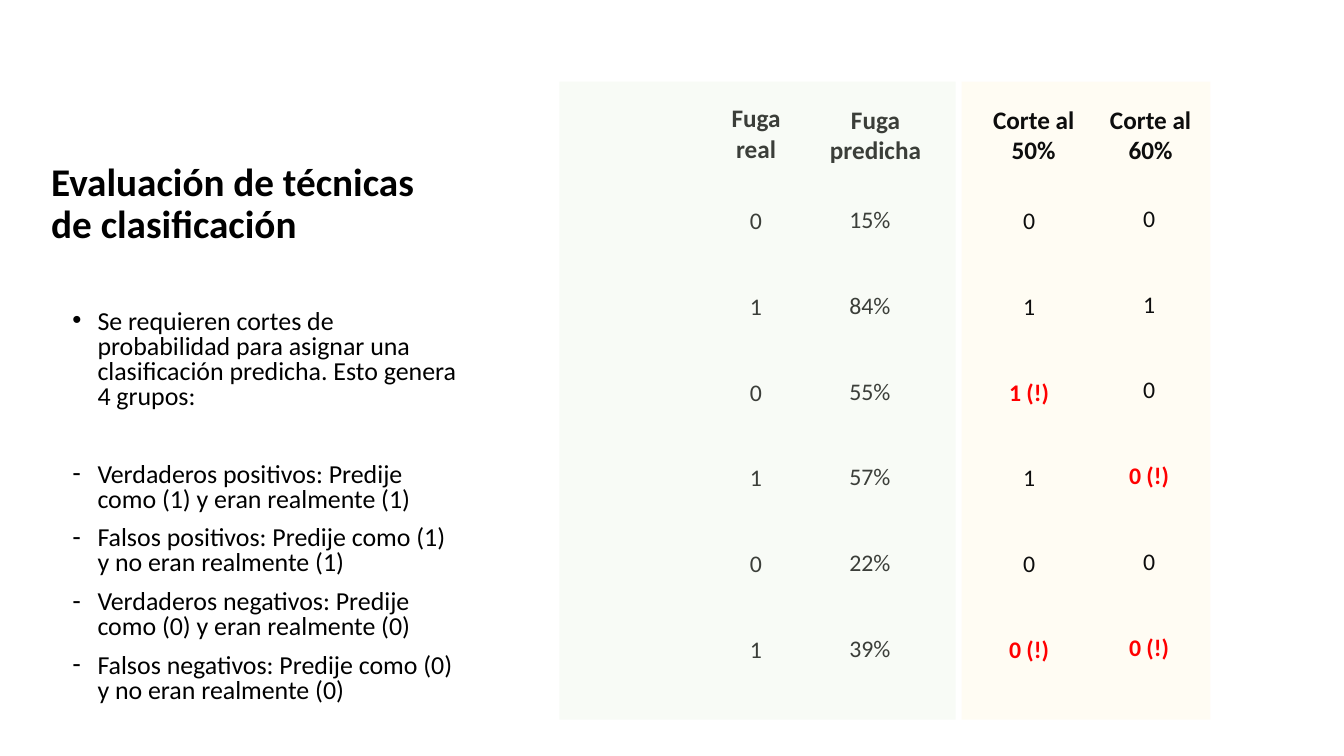
from lxml.etree import SubElement
from pptx import Presentation
from pptx.dml.color import RGBColor
from pptx.enum.shapes import MSO_SHAPE as Shape
from pptx.enum.text import MSO_ANCHOR as Anchor, PP_ALIGN as Align
from pptx.oxml.ns import qn
from pptx.util import Pt

BLACK = RGBColor(0x00, 0x00, 0x00)
INK = RGBColor(0x0D, 0x0D, 0x0D)
RED = RGBColor(0xFF, 0x00, 0x00)
GREEN = RGBColor(0xE2, 0xF0, 0xD9)
CREAM = RGBColor(0xFF, 0xF2, 0xCC)

# Header, header left, top and width, values left and top, values
DATA_COLUMNS = [
    ("Fuga real", 504.7, 69.8, 70.6, 504.7, 143.3, ["0", "1", "0", "1", "0", "1"]),
    ("Fuga predicha", 581.8, 70.6, 87.1, 586.1, 142.6,
     ["15%", "84%", "55%", "57%", "22%", "39%"]),
]
CUT_COLUMNS = [
    ("Corte al 50%", 694.8, 70.6, 87.1, 699.8, 143.3,
     ["0", "1", "1 (!)", "1", "0", "0 (!)"]),
    ("Corte al 60%", 778.3, 70.6, 87.1, 785.5, 141.8,
     ["0", "1", "0", "0 (!)", "0", "0 (!)"]),
]
# Bullet, space before, text
POINTS = [
    ("•", 0, "Se requieren cortes de probabilidad para asignar una "
             "clasificación predicha. Esto genera 4 grupos:"),
    ("-", 38, "Verdaderos positivos: Predije como (1) y eran realmente (1)"),
    ("-", 10, "Falsos positivos: Predije como (1) y no eran realmente (1)"),
    ("-", 10, "Verdaderos negativos: Predije como (0) y eran realmente (0)"),
    ("-", 10, "Falsos negativos: Predije como (0) y no eran realmente (0)"),
]


class SlideBuilder:
    """Holds the text style and the current page."""

    font_name = "Calibri"
    row_gap = 40.9

    def __init__(self, page):
        self.page = page

    def box(self, left, top, width, height, anchor=Anchor.TOP):
        box = self.page.shapes.add_textbox(Pt(left), Pt(top), Pt(width), Pt(height))
        frame = box.text_frame
        frame.word_wrap = True
        frame.vertical_anchor = anchor
        return frame

    def para(self, frame, index, text, size, color=INK, bold=False, bullet=None, **layout):
        para = frame.add_paragraph() if index else frame.paragraphs[0]
        for name, value in layout.items():
            setattr(para, name, value)
        if bullet:
            properties = para._p.get_or_add_pPr()
            properties.set("marL", str(Pt(18)))
            properties.set("indent", str(Pt(-18)))
            SubElement(properties, qn("a:buFont"), typeface="Arial")
            SubElement(properties, qn("a:buChar"), char=bullet)
        span = para.add_run()
        span.text = text
        style = {"name": self.font_name, "size": Pt(size), "bold": bold}
        for name, value in style.items():
            setattr(span.font, name, value)
        span.font.color.rgb = color

    def column(self, header, left, top, width, values_left, values_top, values):
        self.para(self.box(left, top, width, 51.1), 0, header, 18, bold=True,
                  alignment=Align.CENTER)
        frame = self.box(values_left, values_top, 70.6, 357.1)
        for row, value in enumerate(values):
            wrong = "!" in value
            self.para(frame, row, value, 17, RED if wrong else INK, wrong,
                      alignment=Align.CENTER,
                      space_before=Pt(self.row_gap if row else 0))

    def panel(self, left, width, color):
        panel = self.page.shapes.add_shape(
            Shape.RECTANGLE, Pt(left), Pt(58.3), Pt(width), Pt(455.8))
        panel.shadow.inherit = False
        panel.line.fill.background()
        panel.fill.solid()
        panel.fill.fore_color.rgb = color
        tint = panel._element.spPr.find(qn("a:solidFill"))[0]
        SubElement(tint, qn("a:alpha"), val="22000")


def main():
    deck = Presentation()
    deck.slide_width, deck.slide_height = Pt(960), Pt(540)
    builder = SlideBuilder(deck.slides.add_slide(deck.slide_layouts[6]))

    # Title
    title = builder.box(29.5, 91.4, 283, 88.6, Anchor.BOTTOM)
    builder.para(title, 0, "Evaluación de técnicas de clasificación", 28, BLACK, True,
                 line_spacing=0.9)

    # Real and predicted values, under their tinted panel
    for column in DATA_COLUMNS:
        builder.column(*column)
    builder.panel(399.6, 283, GREEN)
    builder.panel(686.9, 177.8, CREAM)

    # Classes given by each cut
    for column in CUT_COLUMNS:
        builder.column(*column)

    # Explanation
    body = builder.box(44.6, 218.2, 292.3, 296.6)
    for index, (bullet, gap, text) in enumerate(POINTS):
        builder.para(body, index, text, 18.5, BLACK, bullet=bullet,
                     line_spacing=0.8, space_before=Pt(gap))

    deck.save("out.pptx")


if __name__ == "__main__":
    main()
